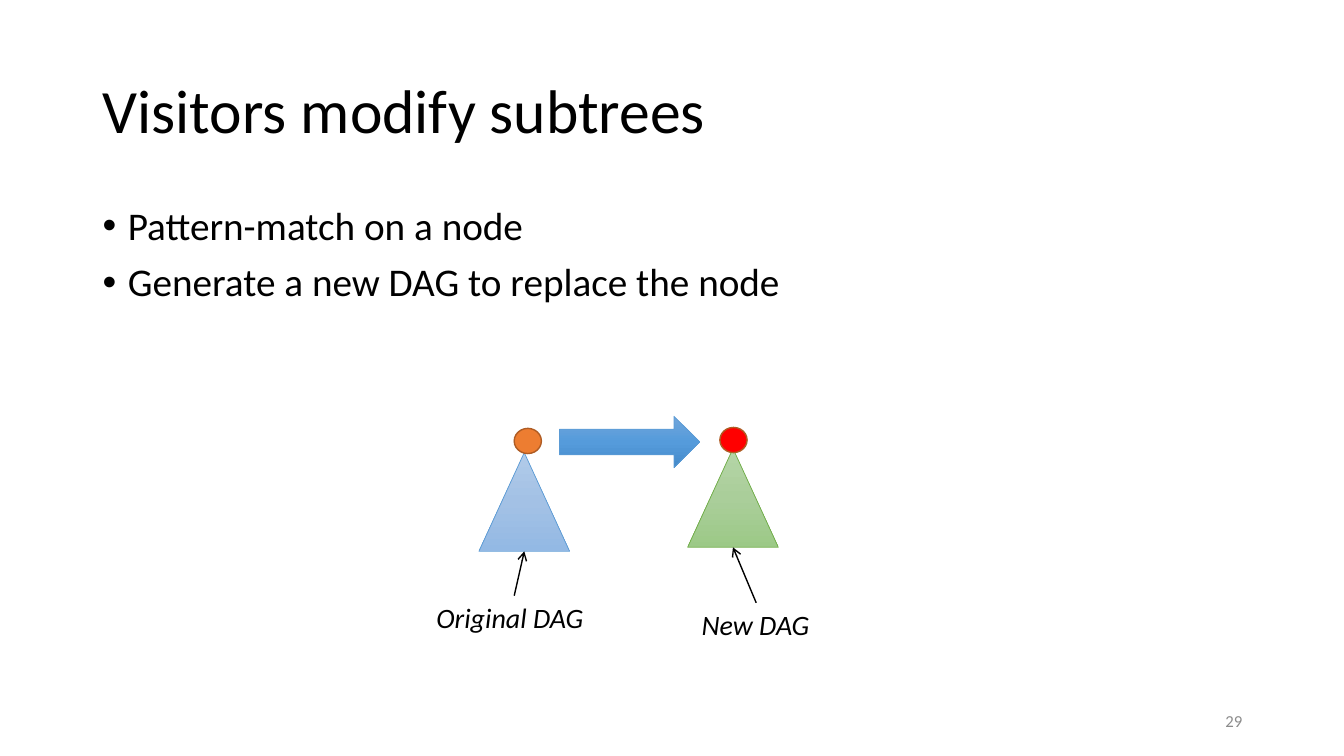
from copy import deepcopy

from lxml import etree
from pptx import Presentation
from pptx.dml.color import RGBColor
from pptx.enum.shapes import MSO_CONNECTOR, MSO_SHAPE
from pptx.enum.text import MSO_ANCHOR, MSO_AUTO_SIZE, PP_ALIGN
from pptx.oxml.ns import qn
from pptx.util import Inches, Pt

TRIANGLE, OVAL, RIGHT_ARROW = MSO_SHAPE.ISOSCELES_TRIANGLE, MSO_SHAPE.OVAL, MSO_SHAPE.RIGHT_ARROW
STRAIGHT = MSO_CONNECTOR.STRAIGHT
MIDDLE, TOP = MSO_ANCHOR.MIDDLE, MSO_ANCHOR.TOP
FIT_SHAPE, FIT_NONE = MSO_AUTO_SIZE.SHAPE_TO_FIT_TEXT, MSO_AUTO_SIZE.NONE
LEFT, RIGHT = PP_ALIGN.LEFT, PP_ALIGN.RIGHT

FONT = "Calibri"
COLORS = {
    "text": "000000", "muted": "8C8C8C", "node_line": "AF5C24",
    "old_node": "ED7D31", "new_node": "FF0000",
    "blue_line": "5B9BD5", "green_line": "70AD47",
}
GRADIENTS = {
    "old": ("B1CBE9", "A3C1E5", "93B9E4"),
    "new": ("B5D5A7", "AACE9A", "9CC987"),
    "arrow": ("71A6DB", "559BDB", "448ACA"),
}


def rgb(name):
    return RGBColor.from_string(COLORS[name])


def add_text(slide, box, lines, size, color="text", anchor=TOP, align=LEFT,
             italic=False, wrap=True, spacing=None):
    textbox = slide.shapes.add_textbox(*map(Inches, box))
    frame = textbox.text_frame
    frame.text = "\n".join(lines)
    frame.word_wrap = wrap
    frame.auto_size = FIT_NONE if wrap else FIT_SHAPE
    frame.vertical_anchor = anchor
    for paragraph in frame.paragraphs:
        paragraph.alignment = align
        paragraph.line_spacing = spacing
        for run in paragraph.runs:
            run.font.name, run.font.size = FONT, Pt(size)
            run.font.italic = italic
            run.font.color.rgb = rgb(color)
    return textbox


def add_outlined(slide, kind, box, line, width):
    shape = slide.shapes.add_shape(kind, *map(Inches, box))
    shape.shadow.inherit = False
    shape.line.color.rgb = rgb(line)
    shape.line.width = Pt(width)
    return shape


def fill_gradient(shape, colors):
    shape.fill.gradient()
    shape.fill.gradient_angle = 270  # counter-clockwise: top to bottom
    stop_list = shape.fill._fill._gradFill.find(qn("a:gsLst"))
    stop_list.insert(1, deepcopy(stop_list[0]))
    stop_list[1].set("pos", "50000")
    for stop, color in zip(shape.fill.gradient_stops, colors):
        stop.color.rgb = RGBColor.from_string(color)


def add_pointer(slide, label, tip):
    pointer = slide.shapes.add_connector(STRAIGHT, 0, 0, *map(Inches, tip))
    pointer.begin_connect(label, 0)
    pointer.line.color.rgb = rgb("text")
    pointer.line.width = Pt(1)
    etree.SubElement(pointer.line._get_or_add_ln(), qn("a:tailEnd"), type="arrow")
    etree.SubElement(pointer._element.spPr, qn("a:effectLst"))


def add_bullets(slide, box, lines):
    body = add_text(slide, box, lines, 28, spacing=0.9)
    for index, paragraph in enumerate(body.text_frame.paragraphs):
        paragraph.space_before = Pt(10 if index else 0)
        properties = paragraph._p.get_or_add_pPr()
        properties.set("marL", str(Inches(0.25)))
        properties.set("indent", str(-Inches(0.25)))
        etree.SubElement(properties, qn("a:buFont"), typeface="Arial")
        etree.SubElement(properties, qn("a:buChar"), char="•")


def add_dag(slide, box, state, line, node_offset, label_text, label_offset, label_width):
    """A subtree with its root node above and its label below."""
    left, top, width, height = box
    subtree = add_outlined(slide, TRIANGLE, box, line, 0.5)
    fill_gradient(subtree, GRADIENTS[state])

    node_box = (left + node_offset[0], top + node_offset[1], 0.27, 0.25)
    node = add_outlined(slide, OVAL, node_box, "node_line", 1)
    node.fill.solid()
    node.fill.fore_color.rgb = rgb(f"{state}_node")

    label_box = (left + label_offset[0], top + label_offset[1], label_width, 0.44)
    label = add_text(slide, label_box, [label_text], 20, italic=True, wrap=False)
    add_pointer(slide, label, (left + width / 2, top + height))


def add_diagram(slide, left, top):
    """Rewriting of one DAG into another."""
    add_dag(slide, (left + 0.52, top + 0.36, 0.9, 0.98), "old", "blue_line",
            (0.35, -0.24), "Original DAG", (-0.52, 1.42), 1.74)
    add_dag(slide, (left + 2.59, top + 0.32, 0.9, 0.98), "new", "green_line",
            (0.32, -0.21), "New DAG", (0.04, 1.53), 1.28)
    arrow = add_outlined(slide, RIGHT_ARROW, (left + 1.32, top, 1.39, 0.51), "blue_line", 0.5)
    fill_gradient(arrow, GRADIENTS["arrow"])


def main():
    deck = Presentation()
    deck.slide_width, deck.slide_height = Inches(13.33), Inches(7.5)
    slide = deck.slides.add_slide(deck.slide_layouts[6])

    # Title and bullets
    add_text(slide, (0.92, 0.4, 11.5, 1.45), ["Visitors modify subtrees"], 44,
             anchor=MIDDLE, spacing=0.9)
    add_bullets(slide, (0.92, 2, 11.5, 4.76),
                ["Pattern-match on a node", "Generate a new DAG to replace the node"])

    # Diagram
    add_diagram(slide, 4.23, 4.13)

    # Slide number
    add_text(slide, (9.42, 6.95, 3, 0.4), ["29"], 12, "muted", MIDDLE, RIGHT)

    deck.save("out.pptx")


if __name__ == "__main__":
    main()
